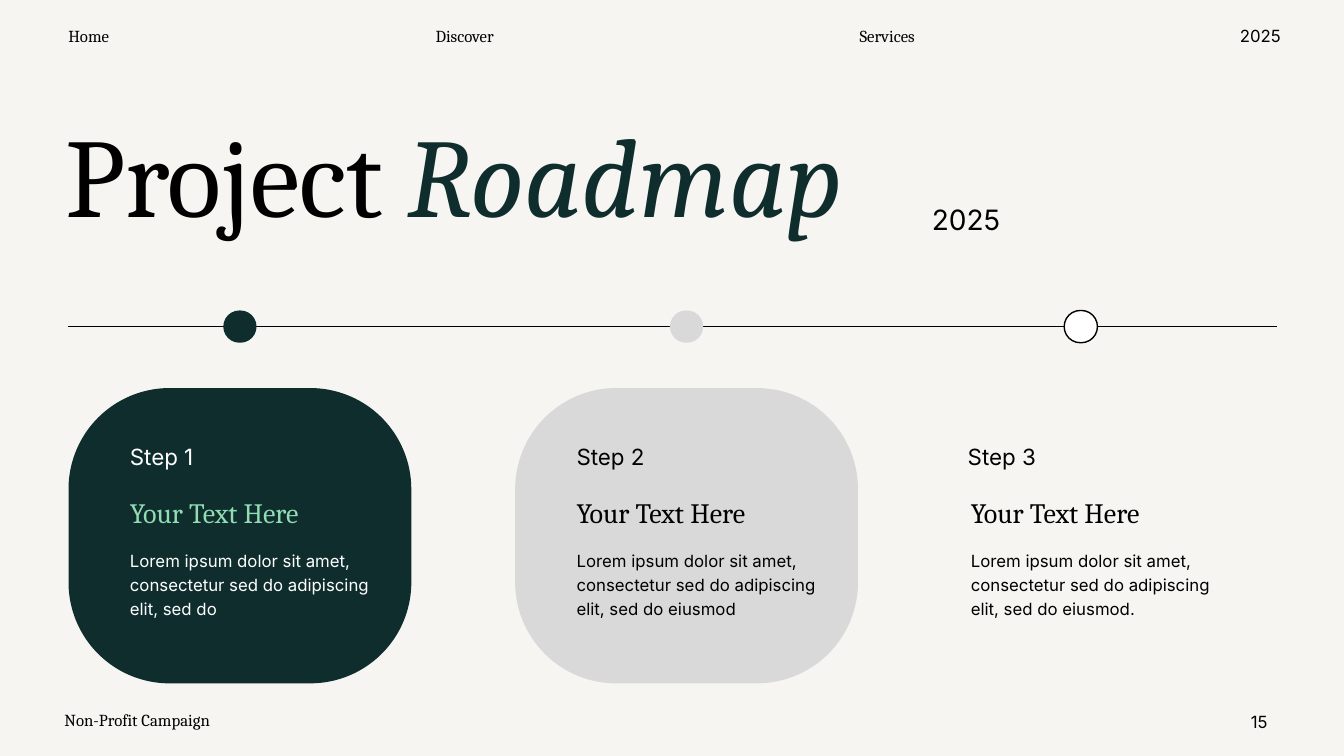
from pptx import Presentation
from pptx.dml.color import RGBColor
from pptx.enum.shapes import MSO_CONNECTOR, MSO_SHAPE
from pptx.enum.text import MSO_AUTO_SIZE, PP_ALIGN
from pptx.oxml.ns import qn
from pptx.util import Inches, Pt
from lxml import etree

ROUND = MSO_SHAPE.ROUNDED_RECTANGLE
LEFT, MID, RIGHT = PP_ALIGN.LEFT, PP_ALIGN.CENTER, PP_ALIGN.RIGHT
SERIF, SANS = "Cambria", "Inter"
WIDE, HIGH = 13.33, 7.5
COLORS = {"paper": "F6F5F1", "ink": "000000", "pine": "0F2D2D",
          "gray": "D9D9D9", "white": "FFFFFF", "mint": "91DCB3"}

# label, left, width, font
MENU = [("Home", 0.54, 0.68, SERIF), ("Discover", 4.16, 0.9, SERIF),
        ("Services", 8.37, 0.86, SERIF), ("2025", 12.19, 0.62, SANS)]
TITLE = [("Project ", "ink", False), ("Roadmap", "pine", True)]
HEAD = "Your Text Here"
LOREM = "Lorem ipsum dolor sit amet, consectetur sed do adipiscing elit, sed do"
STEPS = [
    dict(name="Step 1", body=LOREM, mid=2.38, dot="pine", card="pine",
         text="white", head="mint"),
    dict(name="Step 2", body=LOREM + " eiusmod", mid=6.81, dot="gray",
         card="gray", text="ink", head="ink"),
    dict(name="Step 3", body=LOREM + " eiusmod.", mid=10.72, dot="white",
         card=None, text="ink", head="ink", edge="ink", shift=-0.03),
]
AXIS = 3.24
CARD_W, CARD_H, CARD_TOP = 3.4, 2.93, 3.85
DOT_W, DOT_H = 0.33, 0.32
INSET = 1.19  # from the left of a step's text to its centre

deck = Presentation()
deck.slide_width, deck.slide_height = Inches(WIDE), Inches(HIGH)
slide = deck.slides.add_slide(deck.slide_layouts[6])


def rgb(name):
    return RGBColor.from_string(COLORS[name])


slide.background.fill.solid()
slide.background.fill.fore_color.rgb = rgb("paper")


def write(text, x, y, w, h, size=12, font=SERIF, color="ink",
          align=LEFT, space=None, wrap=True):
    """Add a text box; text is a string or a list of (text, color, italic)."""
    box = slide.shapes.add_textbox(*map(Inches, (x, y, w, h)))
    frame = box.text_frame
    frame.word_wrap = wrap
    frame.auto_size = MSO_AUTO_SIZE.SHAPE_TO_FIT_TEXT
    para = frame.paragraphs[0]
    para.alignment = align
    if space:
        para.line_spacing = space
    parts = [(text, color, False)] if isinstance(text, str) else text
    for words, tint, slant in parts:
        run = para.add_run()
        run.text = words
        run.font.name, run.font.size = font, Pt(size)
        run.font.italic = slant
        run.font.color.rgb = rgb(tint)


def block(x, y, w, h, fill, bend, edge=None):
    shape = slide.shapes.add_shape(ROUND, *map(Inches, (x, y, w, h)))
    shape.adjustments[0] = bend
    shape.shadow.inherit = False
    shape.fill.solid()
    shape.fill.fore_color.rgb = rgb(fill)
    if edge:
        shape.line.color.rgb = rgb(edge)
        shape.line.width = Pt(1)
    else:
        shape.line.fill.background()


def rule(x, y, end):
    line = slide.shapes.add_connector(
        MSO_CONNECTOR.STRAIGHT, *map(Inches, (x, y, end, y)))
    line.line.color.rgb = rgb("ink")
    line.line.width = Pt(1)
    etree.SubElement(line.element.spPr, qn("a:effectLst"))


for label, x, w, font in MENU:
    write(label, x, 0.21, w, 0.3, font=font, align=MID, wrap=False)
write("Non-Profit Campaign", 0.54, 6.99, 2.89, 0.3)
write("15", 11.99, 7.01, 0.68, 0.3, font=SANS, align=RIGHT)

write(TITLE, 0.55, 1.26, 9.19, 1.18, size=80, space=0.8)
write("2025", 9.04, 1.96, 0.98, 0.44, size=20, font=SANS, align=RIGHT)
rule(0.67, AXIS, 12.67)

for step in STEPS:
    mid = step["mid"]
    x = mid - INSET
    if step["card"]:
        block(mid - CARD_W / 2, CARD_TOP, CARD_W, CARD_H, step["card"], 0.342)
    block(mid - DOT_W / 2, AXIS - DOT_H / 2, DOT_W, DOT_H, step["dot"], 0.5,
          edge=step.get("edge"))
    write(step["name"], x + step.get("shift", 0), 4.35, 1.84, 0.38,
          size=16, font=SANS, color=step["text"])
    write(HEAD, x, 4.87, 2.38, 0.44, size=20, color=step["head"])
    write(step["body"], x, 5.37, 2.62, 0.81, font=SANS,
          color=step["text"], space=1.2)

deck.save("out.pptx")
